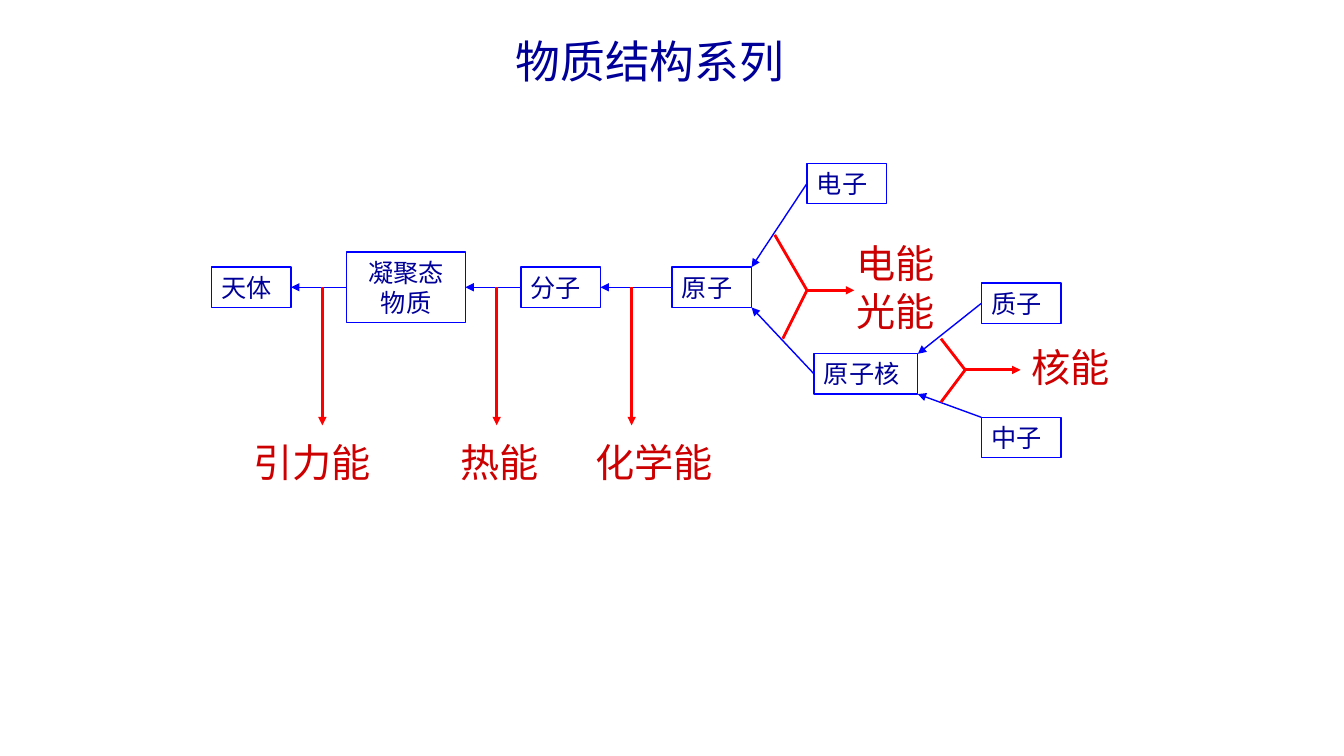
from dataclasses import dataclass

from lxml import etree
from pptx import Presentation
from pptx.dml.color import RGBColor
from pptx.enum import shapes, text
from pptx.oxml import ns
from pptx.util import Inches, Pt

Point = tuple[float, float]


@dataclass(frozen=True)
class Theme:
    font: str = "Noto Sans CJK SC"
    navy: RGBColor = RGBColor(0x00, 0x00, 0x99)
    crimson: RGBColor = RGBColor(0xCC, 0x00, 0x00)
    blue: RGBColor = RGBColor(0x00, 0x00, 0xFF)
    red: RGBColor = RGBColor(0xFF, 0x00, 0x00)
    title_size: int = 32
    energy_size: int = 28
    matter_size: int = 18
    link_width: int = 1
    release_width: int = 2


@dataclass(frozen=True)
class Matter:
    name: str
    left: float
    top: float
    width: float = 0.79
    height: float = 0.4
    align: text.PP_ALIGN = text.PP_ALIGN.LEFT


@dataclass(frozen=True)
class Label:
    name: str
    left: float
    top: float
    width: float
    height: float = 0.57
    wrap: bool = False


@dataclass(frozen=True)
class Fork:
    upper: Point
    lower: Point
    junction: Point
    tip: Point


THEME = Theme()
AXIS = 2.85
STEM_END = 4.22
LEFT_SIDE, RIGHT_SIDE = 1, 3

MATTERS = [
    Matter("天体", 2.1, 2.65),
    Matter("凝聚态物质", 3.44, 2.5, 1.18, 0.7, text.PP_ALIGN.CENTER),
    Matter("分子", 5.17, 2.65),
    Matter("原子", 6.67, 2.65),
    Matter("原子核", 8.08, 3.51, 1.03),
    Matter("电子", 8.01, 1.62),
    Matter("质子", 9.74, 2.81),
    Matter("中子", 9.74, 4.14),
]
CHAIN = ["天体", "凝聚态物质", "分子", "原子"]
CORNER_LINKS = {
    "电子": (7.46, 2.65),
    "原子核": (7.46, 3.05),
    "质子": (9.11, 3.51),
}
NEUTRON_LINK = ((9.74, 4.14), (9.11, 3.91))
STEMS = [3.2, 4.93, 6.27]
FORKS = [
    Fork((7.69, 2.33), (7.77, 3.36), (8.01, 2.88), (8.48, 2.88)),
    Fork((9.34, 3.36), (9.34, 3.99), (9.58, 3.67), (10.13, 3.67)),
]
TITLE = Label("物质结构系列", 5.02, 0.29, 2.9, 0.64)
ENERGIES = [
    Label("引力能", 2.42, 4.3, 1.4),
    Label("热能", 4.47, 4.3, 1.0),
    Label("化学能", 5.81, 4.3, 1.4),
    Label("电能光能", 8.4, 2.33, 1.1, 1.04, True),
    Label("核能", 10.14, 3.36, 1.0),
]


def write(shape, words: str, size: int, color: RGBColor, wrap: bool,
          align: text.PP_ALIGN = text.PP_ALIGN.LEFT) -> None:
    frame = shape.text_frame
    frame.word_wrap = wrap
    frame.auto_size = text.MSO_AUTO_SIZE.SHAPE_TO_FIT_TEXT
    frame.vertical_anchor = text.MSO_ANCHOR.TOP
    frame.text = words
    para = frame.paragraphs[0]
    para.alignment = align
    para.font.size = Pt(size)
    para.font.color.rgb = color
    para.font.name = THEME.font
    defaults = para._p.pPr.find(ns.qn("a:defRPr"))
    etree.SubElement(defaults, ns.qn("a:ea"), typeface=THEME.font)


def draw_matter(page, matter: Matter):
    box = page.shapes.add_shape(
        shapes.MSO_SHAPE.RECTANGLE, Inches(matter.left), Inches(matter.top),
        Inches(matter.width), Inches(matter.height))
    box.shadow.inherit = False
    box.fill.background()
    box.line.color.rgb = THEME.blue
    box.line.width = Pt(THEME.link_width)
    write(box, matter.name, THEME.matter_size, THEME.navy, True, matter.align)
    return box


def draw_label(page, label: Label, size: int, color: RGBColor) -> None:
    box = page.shapes.add_textbox(
        Inches(label.left), Inches(label.top),
        Inches(label.width), Inches(label.height))
    write(box, label.name, size, color, label.wrap)


def draw_line(page, start: Point, end: Point, color: RGBColor, width: int,
              arrow: bool = True):
    line = page.shapes.add_connector(
        shapes.MSO_CONNECTOR.STRAIGHT, *map(Inches, start + end))
    line.line.color.rgb = color
    line.line.width = Pt(width)
    if arrow:
        etree.SubElement(line.line._get_or_add_ln(), ns.qn("a:tailEnd"),
                         type="triangle")
    etree.SubElement(line._element.spPr, ns.qn("a:effectLst"))
    return line


def draw_link(page, start: Point, end: Point):
    return draw_line(page, start, end, THEME.blue, THEME.link_width)


def draw_release(page, start: Point, end: Point, arrow: bool = True) -> None:
    draw_line(page, start, end, THEME.red, THEME.release_width, arrow)


def main() -> None:
    deck = Presentation()
    deck.slide_width, deck.slide_height = Inches(13.34), Inches(7.5)
    page = deck.slides.add_slide(deck.slide_layouts[6])

    boxes = {matter.name: draw_matter(page, matter) for matter in MATTERS}
    places = {matter.name: matter for matter in MATTERS}

    for whole, part in zip(CHAIN, CHAIN[1:]):
        target = places[whole]
        link = draw_link(page, (places[part].left, AXIS),
                         (target.left + target.width, AXIS))
        link.begin_connect(boxes[part], LEFT_SIDE)
        link.end_connect(boxes[whole], RIGHT_SIDE)
    for name, corner in CORNER_LINKS.items():
        source = places[name]
        link = draw_link(
            page, (source.left, source.top + source.height / 2), corner)
        link.begin_connect(boxes[name], LEFT_SIDE)
    draw_link(page, *NEUTRON_LINK)

    for x in STEMS:
        draw_release(page, (x, AXIS), (x, STEM_END))
    for fork in FORKS:
        draw_release(page, fork.junction, fork.tip)
        for prong in (fork.upper, fork.lower):
            draw_release(page, prong, fork.junction, arrow=False)

    draw_label(page, TITLE, THEME.title_size, THEME.navy)
    for energy in ENERGIES:
        draw_label(page, energy, THEME.energy_size, THEME.crimson)

    deck.save("out.pptx")


if __name__ == "__main__":
    main()
